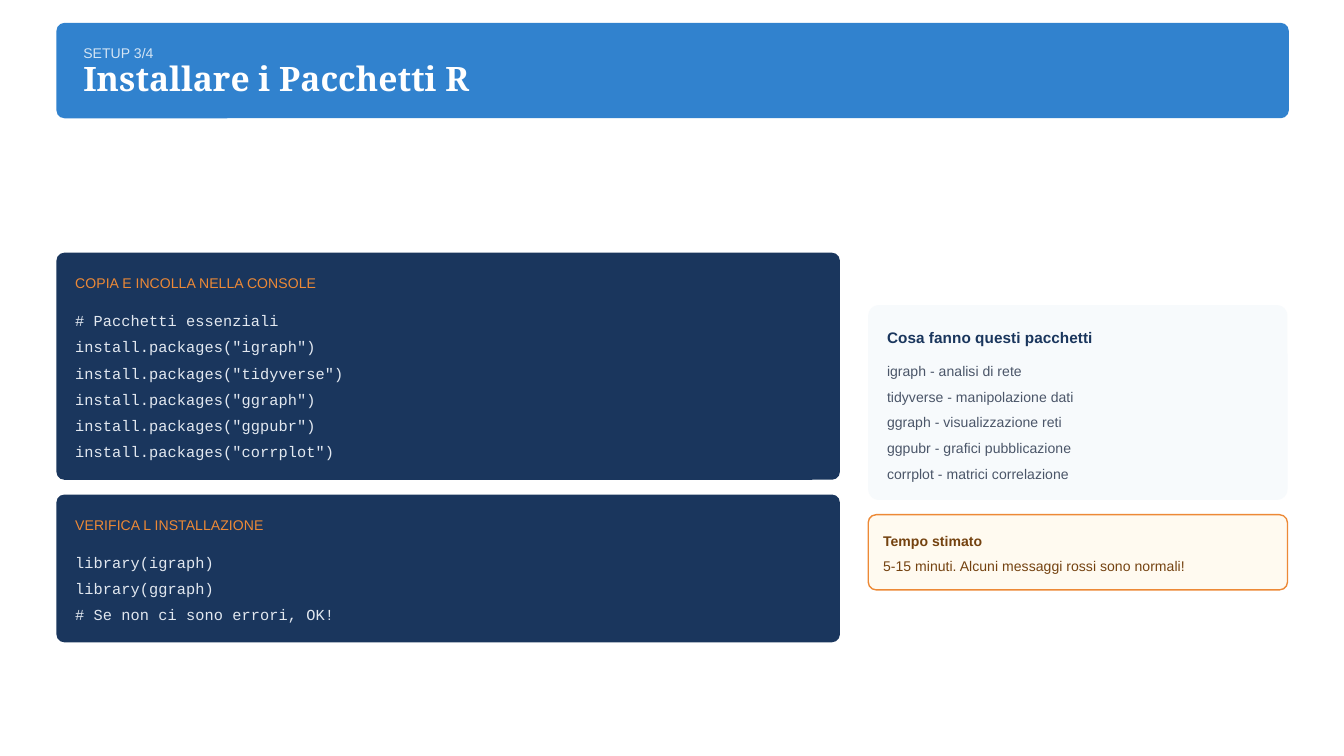
"""Build the slide on installing R packages."""
import pptx
import pptx.dml.color
import pptx.enum.shapes
import pptx.oxml
import pptx.oxml.ns
import pptx.util

Inches = pptx.util.Inches
Pt = pptx.util.Pt


def paint(hue):
    return pptx.dml.color.RGBColor.from_string(hue)


class Deck:
    sans, mono, serif = "Arial", "Courier New", "Noto Serif"
    white, blue, navy, orange = "FFFFFF", "3182CE", "1A365D", "ED8936"
    pale, gray, mist = "E2E8F0", "4A5568", "F7FAFC"
    cream, brown = "FFFAF0", "744210"

    def __init__(self):
        self.file = pptx.Presentation()
        self.file.slide_width = Inches(10)
        self.file.slide_height = Inches(10 * 9 / 16)
        self.slide = self.file.slides.add_slide(self.file.slide_layouts[6])

    def card(self, x, y, w, h, fill, edge=None, curve=0.06):
        kind = pptx.enum.shapes.MSO_SHAPE.ROUNDED_RECTANGLE
        box = self.slide.shapes.add_shape(kind, Inches(x), Inches(y), Inches(w), Inches(h))
        box.adjustments[0] = curve / h
        box.shadow.inherit = False
        box.fill.solid()
        box.fill.fore_color.rgb = paint(fill)
        if edge:
            box.line.color.rgb = paint(edge)
            box.line.width = Pt(0.75)
        else:
            box.line.fill.background()

    def text(self, x, y, w, lines, hue, size=7.5, font=sans, bold=False, lead=10.5, alpha=None):
        high = lead * len(lines) / 72
        box = self.slide.shapes.add_textbox(Inches(x), Inches(y), Inches(w), Inches(high))
        frame = box.text_frame
        frame.word_wrap = True
        frame.margin_left = frame.margin_right = 0
        frame.margin_top = frame.margin_bottom = 0
        for i, line in enumerate(lines):
            para = frame.add_paragraph() if i else frame.paragraphs[0]
            para.line_spacing = Pt(lead)
            run = para.add_run()
            run.text = line
            run.font.name = font
            run.font.size = Pt(size)
            run.font.bold = bold
            run.font.color.rgb = paint(hue)
            if alpha:
                tint = run.font.fill._xPr.find(".//" + pptx.oxml.ns.qn("a:srgbClr"))
                node = pptx.oxml.parse_xml(f'<a:alpha {pptx.oxml.ns.nsdecls("a")}/>')
                node.set("val", str(alpha * 1000))
                tint.append(node)

    def code(self, y, h, head, lines):
        self.card(0.42, y, 5.83, h, self.navy)
        self.text(0.56, y + 0.14, 5.65, [head], self.orange)
        self.text(0.56, y + 0.38, 5.65, lines, self.pale, 8.25, self.mono, lead=14)


def main():
    deck = Deck()
    deck.card(0.42, 0.17, 9.17, 0.71, deck.blue)
    deck.text(0.62, 0.31, 8.93, ["SETUP 3/4"], deck.white, alpha=80)
    deck.text(0.62, 0.48, 4.47, ["Installare i Pacchetti R"], deck.white, 18, deck.serif, True, 18)

    tools = {
        "igraph": "analisi di rete",
        "tidyverse": "manipolazione dati",
        "ggraph": "visualizzazione reti",
        "ggpubr": "grafici pubblicazione",
        "corrplot": "matrici correlazione",
    }
    calls = [f'install.packages("{name}")' for name in tools]
    deck.code(1.88, 1.69, "COPIA E INCOLLA NELLA CONSOLE", ["# Pacchetti essenziali"] + calls)
    deck.code(3.68, 1.1, "VERIFICA L INSTALLAZIONE",
              ["library(igraph)", "library(ggraph)", "# Se non ci sono errori, OK!"])

    deck.card(6.46, 2.27, 3.12, 1.45, deck.mist, curve=0.08)
    deck.text(6.6, 2.42, 2.89, ["Cosa fanno questi pacchetti"], deck.navy, 8.25, bold=True, lead=11.6)
    for i, (name, use) in enumerate(tools.items()):
        deck.text(6.6, 2.68 + 0.19 * i, 2.89, [f"{name} - {use}"], deck.gray)

    deck.card(6.46, 3.83, 3.12, 0.56, deck.cream, deck.orange)
    deck.text(6.57, 3.94, 2.95, ["Tempo stimato"], deck.brown, bold=True)
    deck.text(6.57, 4.13, 2.95, ["5-15 minuti. Alcuni messaggi rossi sono normali!"], deck.brown)
    deck.file.save("out.pptx")


if __name__ == "__main__":
    main()
